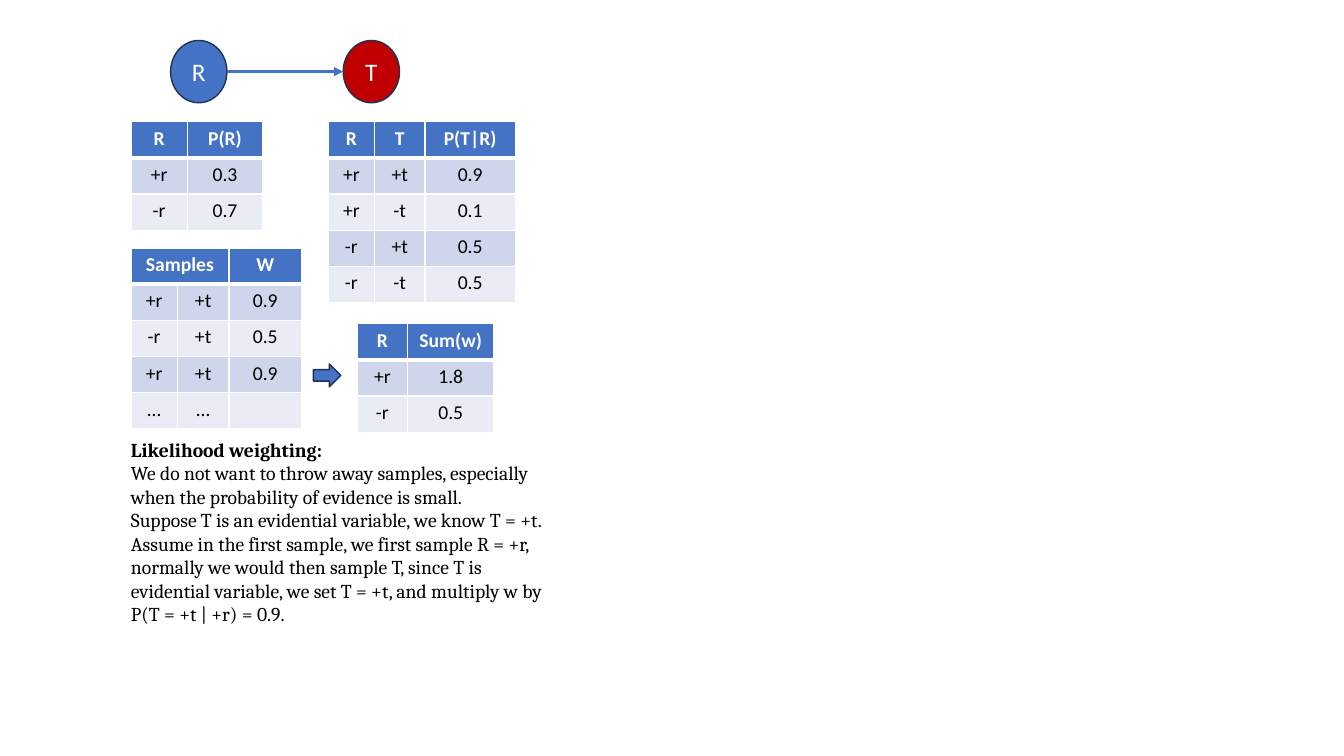
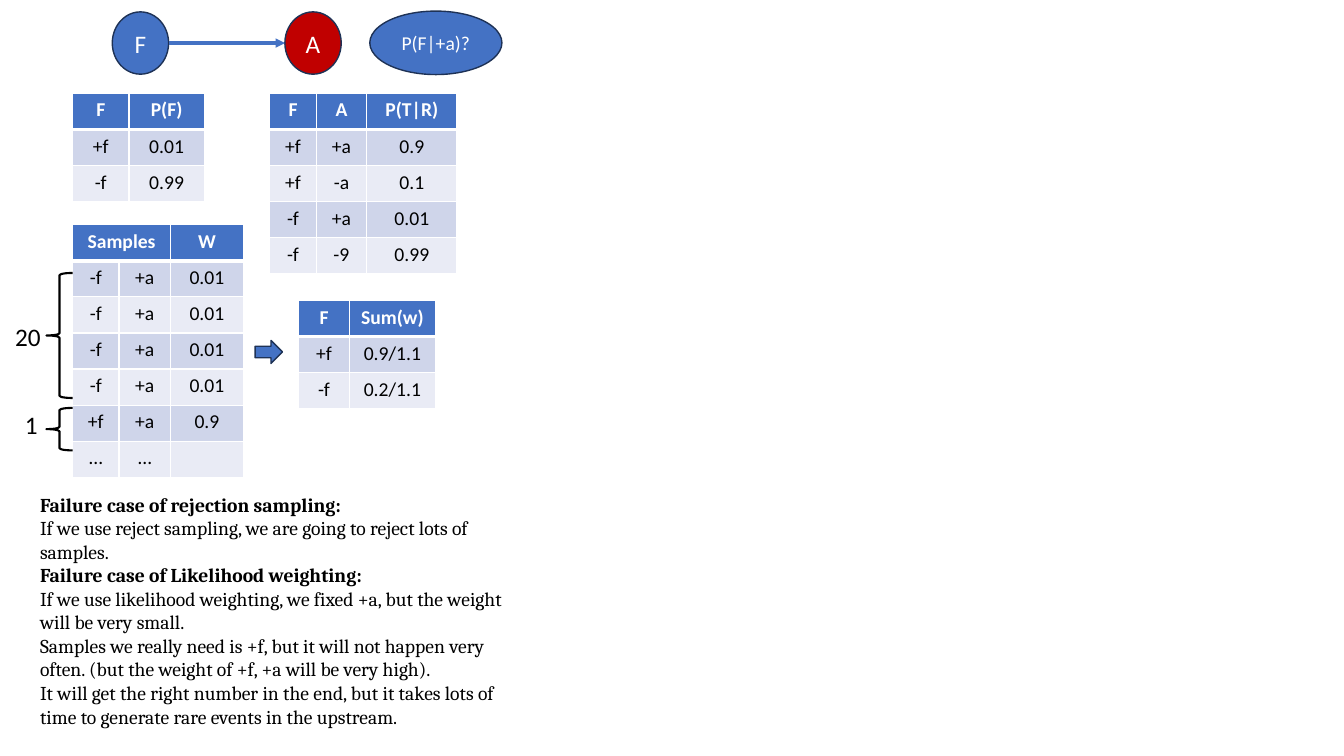
from lxml import etree
from pptx import Presentation
from pptx.dml.color import RGBColor
from pptx.enum.shapes import MSO_CONNECTOR, MSO_SHAPE
from pptx.enum.text import MSO_ANCHOR, PP_ALIGN
from pptx.oxml.ns import qn
from pptx.util import Cm, Pt

BLUE = RGBColor(0x44, 0x72, 0xC4)
RED = RGBColor(0xC0, 0x00, 0x00)
NAVY = RGBColor(0x1E, 0x32, 0x56)
BAND_DARK = RGBColor(0xCF, 0xD5, 0xEA)
BAND_LIGHT = RGBColor(0xE9, 0xEB, 0xF5)
WHITE = RGBColor(0xFF, 0xFF, 0xFF)
BLACK = RGBColor(0x00, 0x00, 0x00)

ELLIPSE, ARROW, BRACE = MSO_SHAPE.OVAL, MSO_SHAPE.RIGHT_ARROW, MSO_SHAPE.LEFT_BRACE
STRAIGHT = MSO_CONNECTOR.STRAIGHT
CENTER, LEFT = PP_ALIGN.CENTER, PP_ALIGN.LEFT
MIDDLE = MSO_ANCHOR.MIDDLE

BODY_FONT, LABEL_FONT = "Cambria", "Calibri"
ROW_H = 0.91
NODE_W, NODE_H = 1.42, 1.57
PRIOR_COLS = (1.42, 1.9)
CONDITIONAL_COLS = (1.17, 1.27, 2.28)
SAMPLE_COLS = (1.17, 1.3, 1.83)
SUM_COLS = (1.27, 2.18)


def write(p, text, size=14, font=LABEL_FONT, color=BLACK, bold=False, align=LEFT):
    p.alignment = align
    if not text:
        etree.SubElement(p._p, qn("a:endParaRPr"), sz=str(size * 100))
        return
    r = p.add_run()
    r.text = text
    r.font.size, r.font.name, r.font.bold = Pt(size), font, bold
    r.font.color.rgb = color


def add_shape(s, kind, x, y, w, h, fill=BLUE, line=NAVY, weight=1):
    sp = s.shapes.add_shape(kind, Cm(x), Cm(y), Cm(w), Cm(h))
    sp.shadow.inherit = False
    if fill is None:
        sp.fill.background()
    else:
        sp.fill.solid()
        sp.fill.fore_color.rgb = fill
    sp.line.color.rgb = line
    sp.line.width = Pt(weight)
    return sp


def add_ellipse(s, x, y, w, h, text, size=18, fill=BLUE):
    tf = add_shape(s, ELLIPSE, x, y, w, h, fill).text_frame
    tf.margin_left = tf.margin_right = 0
    tf.vertical_anchor = MIDDLE
    write(tf.paragraphs[0], text, size=size, color=WHITE, align=CENTER)


def add_text(s, x, y, w, h, paragraphs, wrap=True, **fmt):
    """Each paragraph is a (text, bold) pair."""
    tf = s.shapes.add_textbox(Cm(x), Cm(y), Cm(w), Cm(h)).text_frame
    tf.word_wrap = wrap
    for i, (text, bold) in enumerate(paragraphs):
        p = tf.add_paragraph() if i else tf.paragraphs[0]
        write(p, text, bold=bold, **fmt)


def set_borders(cell, bottom):
    tc_pr = cell._tc.get_or_add_tcPr()
    for side, width in (("L", 1), ("R", 1), ("T", 1), ("B", bottom)):
        ln = etree.SubElement(tc_pr, qn(f"a:ln{side}"), w=str(Pt(width)))
        fill = etree.SubElement(ln, qn("a:solidFill"))
        etree.SubElement(fill, qn("a:srgbClr"), val=str(WHITE))


def add_grid(s, x, y, cols, rows):
    """Banded table; a None cell is merged into the cell on its left."""
    table = s.shapes.add_table(len(rows), len(cols), Cm(x), Cm(y), Cm(sum(cols)),
                               Cm(ROW_H * len(rows))).table
    for column, width in zip(table.columns, cols):
        column.width = Cm(width)
    for i, row in enumerate(rows):
        header = i == 0
        fill = BLUE if header else BAND_DARK if i % 2 else BAND_LIGHT
        for j, text in enumerate(row):
            cell = table.cell(i, j)
            set_borders(cell, bottom=3 if header else 1)
            cell.fill.solid()
            cell.fill.fore_color.rgb = fill
            if text is None:
                table.cell(i, j - 1).merge(cell)
            else:
                write(cell.text_frame.paragraphs[0], text, bold=header,
                      color=WHITE if header else BLACK, align=CENTER)


def add_network(s, x, y, cause, evidence):
    """Two nodes joined by an arrow."""
    gap = 4.35
    add_ellipse(s, x, y, NODE_W, NODE_H, cause)
    add_ellipse(s, x + gap, y, NODE_W, NODE_H, evidence, fill=RED)
    mid = Cm(y + NODE_H / 2)
    edge = s.shapes.add_connector(STRAIGHT, Cm(x + NODE_W), mid, Cm(x + gap), mid)
    edge.line.color.rgb = BLUE
    edge.line.width = Pt(2.25)
    etree.SubElement(edge.line._get_or_add_ln(), qn("a:tailEnd"), type="triangle")
    etree.SubElement(edge._element.spPr, qn("a:effectLst"))


def add_sampling(s, x, y, samples, sums):
    """Weighted samples, and the sums they lead to."""
    header = ("Samples", None, "W")
    add_grid(s, x, y, SAMPLE_COLS, [header, *samples, ("…", "…", "")])
    add_shape(s, ARROW, x + 4.6, y + 2.92, 0.69, 0.58)
    add_grid(s, x + 5.7, y + 1.91, SUM_COLS, sums)


def add_count(s, x, y, h, text, label_x, label_y):
    """Brace to the left of the sample rows, with their count."""
    add_shape(s, BRACE, x - 0.66, y, 0.66, h, fill=None, line=BLACK, weight=1.5)
    add_text(s, x + label_x, y + label_y, 1.2, 1.02, [(text, False)], wrap=False, size=18)


def add_model(s, x, y, names, prior, conditional):
    """Network with the probability tables of its two variables."""
    cause, evidence = names
    add_network(s, x + 1, y, cause, evidence)
    add_grid(s, x, y + 2.05, PRIOR_COLS, [(cause, f"P({cause})"), *prior])
    add_grid(s, x + 4.97, y + 2.05, CONDITIONAL_COLS,
             [(cause, evidence, "P(T|R)"), *conditional])


def likelihood_slide(s, x, y):
    add_model(s, x, y, "RT", [("+r", "0.3"), ("-r", "0.7")],
              [("+r", "+t", "0.9"), ("+r", "-t", "0.1"),
               ("-r", "+t", "0.5"), ("-r", "-t", "0.5")])
    add_sampling(s, x, y + 5.23,
                 [("+r", "+t", "0.9"), ("-r", "+t", "0.5"), ("+r", "+t", "0.9")],
                 [("R", "Sum(w)"), ("+r", "1.8"), ("-r", "0.5")])
    add_text(s, x - 0.25, y + 9.88, 11.02, 5.64, [
        ("Likelihood weighting:", True),
        ("We do not want to throw away samples, especially when the probability of "
         "evidence is small.", False),
        ("Suppose T is an evidential variable, we know T = +t. Assume in the first "
         "sample, we first sample R = +r, normally we would then sample T, since T is "
         "evidential variable, we set T = +t, and multiply w by P(T = +t | +r) = 0.9.",
         False),
    ], font=BODY_FONT)


def failure_slide(s, x, y):
    add_model(s, x, y, "FA", [("+f", "0.01"), ("-f", "0.99")],
              [("+f", "+a", "0.9"), ("+f", "-a", "0.1"),
               ("-f", "+a", "0.01"), ("-f", "-9", "0.99")])
    add_ellipse(s, x + 7.49, y - 0.02, 3.33, 1.6, "P(F|+a)?", size=14)
    top = y + 5.36
    add_sampling(s, x, top, [("-f", "+a", "0.01")] * 4 + [("+f", "+a", "0.9")],
                 [("F", "Sum(w)"), ("+f", "0.9/1.1"), ("-f", "0.2/1.1")])
    add_count(s, x, top + 1.22, 3.15, "20", label_x=-1.7, label_y=1.09)
    add_count(s, x, top + 4.62, 1.07, "1", label_x=-1.45, label_y=-0.1)
    add_text(s, x - 1.07, y + 11.99, 12.83, 6.25, [
        ("Failure case of rejection sampling:", True),
        ("If we use reject sampling, we are going to reject lots of samples.", False),
        ("Failure case of Likelihood weighting:", True),
        ("If we use likelihood weighting, we fixed +a, but the weight will be very small.",
         False),
        ("Samples we really need is +f, but it will not happen very often. (but the "
         "weight of +f, +a will be very high).", False),
        ("It will get the right number in the end, but it takes lots of time to generate "
         "rare events in the upstream.", False),
    ], font=BODY_FONT)


def main():
    prs = Presentation()
    prs.slide_width, prs.slide_height = Cm(33.87), Cm(19.05)
    blank = prs.slide_layouts[6]
    likelihood_slide(prs.slides.add_slide(blank), 3.3, 1.02)
    failure_slide(prs.slides.add_slide(blank), 1.83, 0.3)
    prs.save("out.pptx")


if __name__ == "__main__":
    main()
